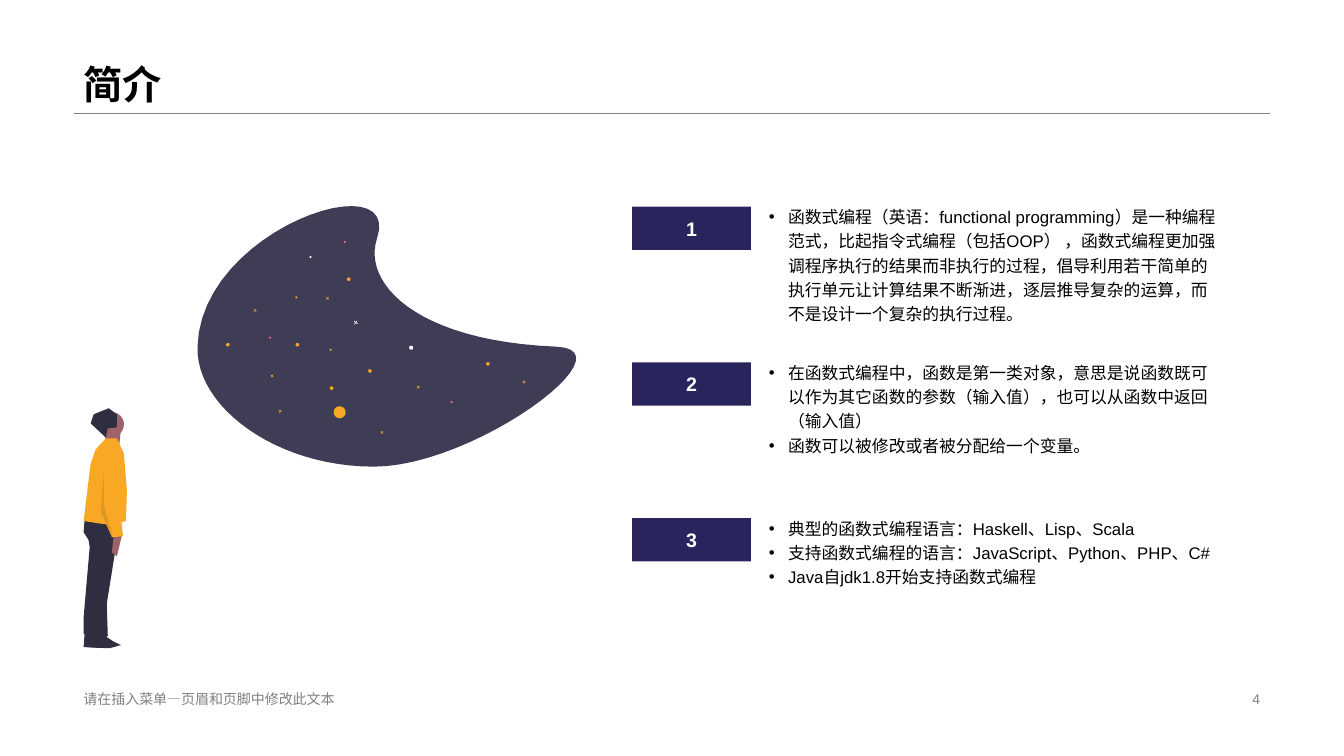
import math
from collections import namedtuple

import pptx
import pptx.dml.color
import pptx.enum.shapes
import pptx.enum.text
import pptx.oxml.ns
import pptx.util
from lxml import etree

COLORS = {
    "white": "FFFFFF", "black": "000000", "gray": "808080", "badge": "29245B",
    "sky": "3F3D56", "gold": "F9A826", "pink": "FF6584", "dark": "2F2E41",
    "skin": "9F616A", "shade": "E09722",
}
CELL = pptx.util.Inches(0.01)
FONT = "Arial"
ALIGN = pptx.enum.text.PP_ALIGN
ANCHOR = pptx.enum.text.MSO_ANCHOR
SHAPE = pptx.enum.shapes.MSO_SHAPE
Box = namedtuple("Box", "left top width height")

TOPICS = [
    ["函数式编程（英语：functional programming）是一种编程范式，比起指令式编程（包括OOP） ，"
     "函数式编程更加强调程序执行的结果而非执行的过程，倡导利用若干简单的执行单元让计算结果不断渐进，"
     "逐层推导复杂的运算，而不是设计一个复杂的执行过程。"],
    ["在函数式编程中，函数是第一类对象，意思是说函数既可以作为其它函数的参数（输入值），"
     "也可以从函数中返回（输入值）",
     "函数可以被修改或者被分配给一个变量。"],
    ["典型的函数式编程语言：Haskell、Lisp、Scala",
     "支持函数式编程的语言：JavaScript、Python、PHP、C#",
     "Java自jdk1.8开始支持函数式编程"],
]

SKY_START = (6, 144)
SKY_CURVES = [
    [(4, 203), (83, 263), (181, 263)], [(280, 263), (437, 147), (362, 144)],
    [(219, 138), (170, 79), (184, 37)], [(210, -39), (9, 27), SKY_START],
]
CROSSES = [
    (3, "gold", [(135, 96), (225, 184), (80, 173), (189, 229), (88, 208),
                 (330, 179), (63, 108)]),
    (4, "white", [(163, 120)]),
]
STARS = [
    (3.5, "gold", [(105, 142), (36, 142), (156, 77), (139, 185), (294, 161), (177, 168)]),
    (2, "gold", [(138, 147), (104, 95)]),
    (2, "pink", [(258, 199), (78, 135), (152, 40)]),
    (2, "white", [(118, 55)]),
    (4, "white", [(218, 145)]),
    (12, "gold", [(147, 209)]),
]
SHOE = [(4, 228), (3, 242), (25, 243), (36, 240), (28, 236), (17, 229)]
BACK_LEG = [(7, 130), (9, 143), (3, 212), (3, 229), (15, 230), (28, 151)]
FRONT_LEG = [(4, 115), (3, 128), (16, 148), (7, 224), (16, 237), (27, 231),
             (26, 199), (39, 118)]
NECK = [(24, 27), (25, 42), (38, 45), (40, 26)]
SWEATER = [(25, 35), (15, 46), (10, 60), (3, 117), (30, 121), (45, 117),
           (46, 87), (43, 50), (36, 35)]
HAND = [(33, 131), (31, 148), (36, 152), (41, 131)]
HAIR = [(36, 24), (27, 25), (25, 34), (10, 20), (13, 11), (28, 5), (36, 11)]
SLEEVE = [(37, 48), (27, 53), (23, 75), (23, 100), (31, 133), (42, 132),
          (39, 104), (42, 56)]
FOLD = [(23, 69), (20, 108), (31, 133), (23, 100)]


def cells(*counts):
    return [round(count * CELL) for count in counts]


def color(name):
    return pptx.dml.color.RGBColor.from_string(COLORS[name])


def paint(shape, fill):
    shape.shadow.inherit = False
    shape.fill.solid()
    shape.fill.fore_color.rgb = color(fill)
    shape.line.fill.background()
    return shape


def write(shape, *lines, size=12, ink="black", bold=False, align=ALIGN.LEFT,
          anchor=ANCHOR.TOP, wrap=True, spacing=1.0, bullet=False):
    frame = shape.text_frame
    frame.word_wrap = wrap
    frame.vertical_anchor = anchor
    for index, line in enumerate(lines):
        para = frame.add_paragraph() if index else frame.paragraphs[0]
        para.alignment = align
        para.line_spacing = spacing
        span = para.add_run()
        span.text = line
        span.font.name = FONT
        span.font.size = pptx.util.Pt(size)
        span.font.bold = bold
        span.font.color.rgb = color(ink)
        if bullet:
            layout = para._p.get_or_add_pPr()
            indent = cells(19)[0]
            layout.set("marL", str(indent))
            layout.set("indent", str(-indent))
            for tag, name, value in (("a:buFont", "typeface", FONT), ("a:buChar", "char", "•")):
                etree.SubElement(layout, pptx.oxml.ns.qn(tag)).set(name, value)


def curve_points(start, curves, steps=24):
    points = [start]
    for curve in curves:
        controls = [points[-1], *curve]
        for step in range(1, steps + 1):
            t = step / steps
            weights = [math.comb(3, k) * t**k * (1 - t)**(3 - k) for k in range(4)]
            points.append(tuple(sum(w * c for w, c in zip(weights, axis))
                                for axis in zip(*controls)))
    return points


def cross_points(x, y, size):
    turns = [(size * share, math.radians(90 * arm + angle)) for arm in range(4)
             for share, angle in ((0.55, 26), (0.55, 44), (0.12, 80))]
    return [(x + radius * math.cos(turn), y + radius * math.sin(turn))
            for radius, turn in turns]


def draw_outline(page, box, outline, fill):
    points = [cells(box.left + x, box.top + y) for x, y in outline]
    pen = page.shapes.build_freeform(*points[0])
    pen.add_line_segments(points[1:], close=True)
    paint(pen.convert_to_shape(), fill)


def draw_dot(page, box, x, y, size, fill):
    place = cells(box.left + x - size / 2, box.top + y - size / 2, size, size)
    paint(page.shapes.add_shape(SHAPE.OVAL, *place), fill)


def draw_sky(page, box):
    draw_outline(page, box, curve_points(SKY_START, SKY_CURVES), "sky")
    for size, fill, centers in CROSSES:
        for center in centers:
            draw_outline(page, box, cross_points(*center, size), fill)
    for size, fill, centers in STARS:
        for center in centers:
            draw_dot(page, box, *center, size, fill)


def draw_person(page, box):
    front_shoe = [(x + 4, y) for x, y in SHOE]
    for outline in (SHOE, BACK_LEG, front_shoe, FRONT_LEG):
        draw_outline(page, box, outline, "dark")
    draw_dot(page, box, 31, 21, 24, "skin")
    for outline, fill in ((NECK, "skin"), (SWEATER, "gold"), (HAND, "skin"),
                          (HAIR, "dark"), (SLEEVE, "gold"), (FOLD, "shade")):
        draw_outline(page, box, outline, fill)


def draw_header(page, box):
    left, top, width, height = cells(*box)
    rule = page.shapes.add_connector(pptx.enum.shapes.MSO_CONNECTOR.STRAIGHT,
                                     left, top + height, left + width, top + height)
    rule.line.color.rgb = color("gray")
    rule.line.width = pptx.util.Pt(0.25)
    etree.SubElement(rule._element.spPr, pptx.oxml.ns.qn("a:effectLst"))
    write(page.shapes.add_textbox(left, top, width, height), "简介", size=28,
          bold=True, anchor=ANCHOR.BOTTOM, spacing=0.9)


def draw_footer(page, box):
    for text, offset, width, align in (
            ("请在插入菜单—页眉和页脚中修改此文本", 0, 453, ALIGN.LEFT),
            ("4", box.width - 318, 318, ALIGN.RIGHT)):
        place = cells(box.left + offset, box.top, width, box.height)
        write(page.shapes.add_textbox(*place), text, size=10, ink="gray",
              align=align, anchor=ANCHOR.MIDDLE)


def draw_topic(page, box, number, lines):
    badge = page.shapes.add_shape(SHAPE.RECTANGLE, *cells(box.left, box.top + 8.5, 118, 43))
    write(paint(badge, "badge"), str(number), size=14, ink="white", bold=True,
          align=ALIGN.CENTER, anchor=ANCHOR.MIDDLE, wrap=False)
    place = cells(box.left + 126, box.top, box.width - 126, box.height)
    write(page.shapes.add_textbox(*place), *lines, spacing=1.2, bullet=True)


def main():
    deck = pptx.Presentation()
    deck.slide_width, deck.slide_height = cells(1333.33, 750)
    page = deck.slides.add_slide(deck.slide_layouts[6])
    draw_header(page, Box(73, 0, 1187, 112))
    draw_footer(page, Box(73, 682, 1187, 23))
    for index, lines in enumerate(TOPICS):
        draw_topic(page, Box(627, 196.5 + 154.5 * index, 594, 133), index + 1, lines)
    draw_sky(page, Box(190, 200, 437, 263))
    draw_person(page, Box(80, 400, 46, 244))
    deck.save("out.pptx")


if __name__ == "__main__":
    main()
